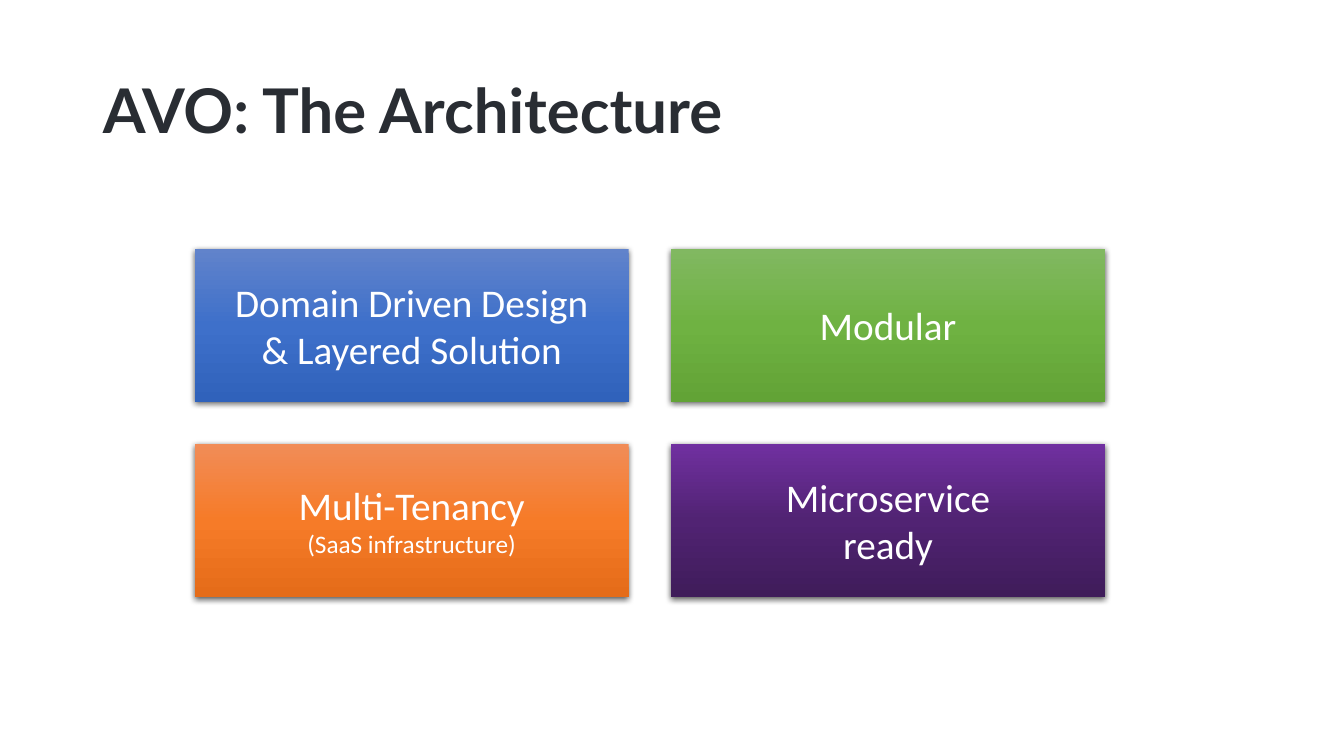
from copy import deepcopy
from lxml.etree import SubElement as Sub
from pptx import Presentation as Deck
from pptx.dml.color import RGBColor as RGB
from pptx.enum.shapes import MSO_SHAPE as Kind
from pptx.enum.text import MSO_ANCHOR as Anchor, MSO_AUTO_SIZE as Fit, PP_ALIGN as Align
from pptx.oxml.ns import qn
from pptx.util import Inches, Pt

WIDE, HIGH = 13.33, 7.5
HEAD = (0.92, 0.4, 11.5, 1.45)
GRID = (1.93, 2.47, 9.03, 3.45)
COLS, GAP = 2, 0.42
INK = RGB(0x29, 0x2D, 0x33)
WHITE = RGB(0xFF, 0xFF, 0xFF)
BLUE = (RGB(0x61, 0x83, 0xCB), RGB(0x3E, 0x70, 0xCA), RGB(0x30, 0x62, 0xBB))
GREEN = (RGB(0x81, 0xB8, 0x61), RGB(0x6F, 0xB2, 0x42), RGB(0x62, 0xA3, 0x36))
ORANGE = (RGB(0xF1, 0x8C, 0x57), RGB(0xF6, 0x7B, 0x28), RGB(0xE5, 0x6C, 0x19))
PURPLE = (RGB(0x70, 0x30, 0xA0), RGB(0x51, 0x23, 0x73), RGB(0x3F, 0x1C, 0x5A))

TITLE = {"name": "Lato", "size": Pt(44), "bold": True}
LARGE = {"name": "Calibri", "size": Pt(28)}
SMALL = {**LARGE, "size": Pt(18)}

CARDS = [
    (BLUE, [[("Domain Driven Design", LARGE)], [("& Layered Solution", LARGE)]]),
    (GREEN, [[("Modular", LARGE)]]),
    (ORANGE, [[("Multi-Tenancy", LARGE), ("(SaaS infrastructure)", SMALL)]]),
    (PURPLE, [[("Microservice", LARGE), ("ready", LARGE)]]),
]


def apply(item, form):
    """Set each attribute named in a dict of format values."""
    for key, value in form.items():
        setattr(item, key, value)


def write(para, text, form, color):
    """Add one formatted run to a paragraph."""
    run = para.add_run()
    run.text = text
    apply(run.font, form)
    run.font.color.rgb = color


def shade(shape, tones):
    """Fill a shape with evenly spaced tones from top to bottom."""
    fill = shape.fill
    fill.gradient()
    fill.gradient_angle = 270
    stops = shape._element.spPr.find(".//" + qn("a:gsLst"))
    stops.insert(1, deepcopy(stops[0]))
    for i, (stop, tone) in enumerate(zip(fill.gradient_stops, tones)):
        stop.color.rgb = tone
        stop.position = i / (len(tones) - 1)


def drop(shape):
    """Give a shape a soft shadow below it."""
    shape.shadow.inherit = False
    effects = shape._element.spPr.find(qn("a:effectLst"))
    outer = Sub(effects, qn("a:outerShdw"), blurRad=str(Pt(4.5)), dist=str(Pt(1.5)),
                dir="5400000", algn="ctr", rotWithShape="0")
    black = Sub(outer, qn("a:srgbClr"), val="000000")
    Sub(black, qn("a:alpha"), val="63000")


def head(slide, box, text):
    """Place the slide title in its box."""
    title = slide.shapes.title
    apply(title, dict(zip(("left", "top", "width", "height"), map(Inches, box))))
    frame = title.text_frame
    apply(frame, {"word_wrap": True, "auto_size": Fit.NONE, "vertical_anchor": Anchor.MIDDLE})
    para = frame.paragraphs[0]
    apply(para, {"alignment": Align.LEFT, "line_spacing": 0.9})
    write(para, text, TITLE, INK)


def card(slide, box, tones, paras):
    """Draw one shaded card with centred text."""
    shape = slide.shapes.add_shape(Kind.RECTANGLE, *map(Inches, box))
    shade(shape, tones)
    shape.line.fill.background()
    drop(shape)
    frame = shape.text_frame
    apply(frame, {"word_wrap": True, "vertical_anchor": Anchor.MIDDLE})
    for i, lines in enumerate(paras):
        para = frame.add_paragraph() if i else frame.paragraphs[0]
        para.alignment = Align.CENTER
        for j, (text, form) in enumerate(lines):
            if j:
                para.add_line_break()
            write(para, text, form, WHITE)


def grid(slide, box, cards):
    """Share a box among cards in equal columns and rows."""
    left, top, width, height = box
    rows = -(-len(cards) // COLS)
    wide = (width - GAP * (COLS - 1)) / COLS
    high = (height - GAP * (rows - 1)) / rows
    for i, (tones, paras) in enumerate(cards):
        row, col = divmod(i, COLS)
        spot = (left + col * (wide + GAP), top + row * (high + GAP), wide, high)
        card(slide, spot, tones, paras)


def main():
    """Build and save the slide."""
    deck = Deck()
    apply(deck, {"slide_width": Inches(WIDE), "slide_height": Inches(HIGH)})
    slide = deck.slides.add_slide(deck.slide_layouts[5])
    head(slide, HEAD, "AVO: The Architecture")
    grid(slide, GRID, CARDS)
    deck.save("out.pptx")


if __name__ == "__main__":
    main()
